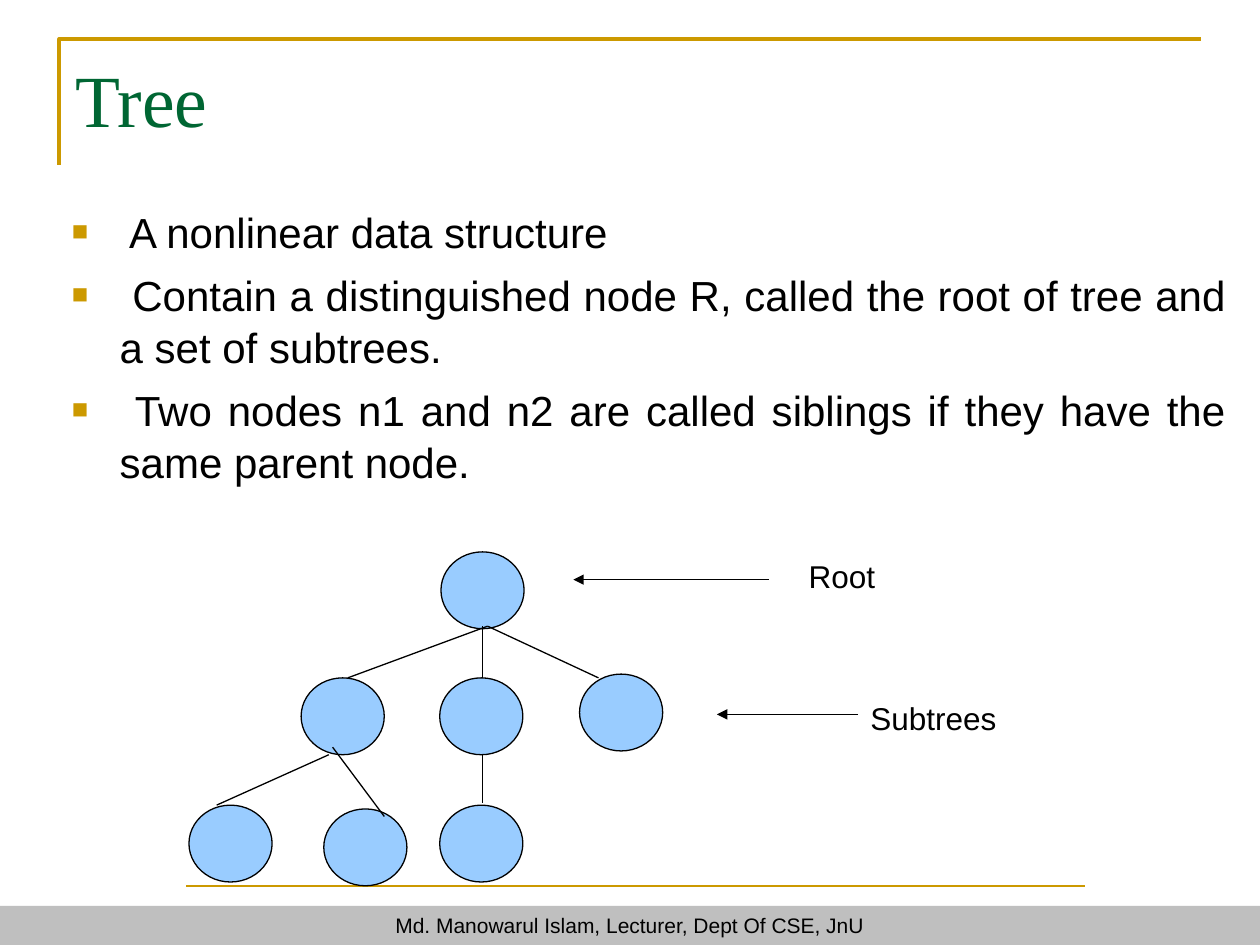
from lxml import etree
from pptx import Presentation
from pptx import util as u
from pptx.dml.color import RGBColor
from pptx.enum import shapes, text
from pptx.oxml.ns import qn

GOLD = RGBColor(0xCC, 0x99, 0x00)
GREEN = RGBColor(0x00, 0x66, 0x33)
GREY = RGBColor(0xBF, 0xBF, 0xBF)
BLUE = RGBColor(0x99, 0xCC, 0xFF)
BLACK = RGBColor(0, 0, 0)

COLUMNS, ROWS = 100, 75
NODE_WIDTH, NODE_HEIGHT = 6.6, 6.1

POINTS = [
    " A nonlinear data structure",
    " Contain a distinguished node R, called the root of tree and a set of subtrees.",
    " Two nodes n1 and n2 are called siblings if they have the same parent node.",
]
# Left and top of each node, level by level
NODES = [
    (35, 43.8),
    (23.9, 53.8), (34.9, 53.8), (46, 53.5),
    (34.9, 63.9), (15, 63.9), (25.7, 64.2),
]
EDGES = [
    ((38.3, 49.7), (38.3, 53.8)),
    ((38.7, 49.7), (27.6, 53.8)),
    ((38.7, 49.7), (47.5, 53.8)),
    ((26.1, 59.9), (17.2, 63.9)),
    ((26.4, 59.3), (30.5, 64.8)),
]
# Label, its left and top, arrow start and end columns, arrow row
CALLOUTS = [
    ("Root", 63.2, 43.9, 61, 45.5, 46),
    ("Subtrees", 68.1, 55.1, 68.1, 56.9, 56.7),
]


class Deck:
    def __init__(self):
        self.prs = Presentation()
        self.prs.slide_width, self.prs.slide_height = u.Inches(10), u.Inches(7.5)
        self.slide = self.prs.slides.add_slide(self.prs.slide_layouts[1])

    def x(self, columns):
        return round(self.prs.slide_width * columns / COLUMNS)

    def y(self, rows):
        return round(self.prs.slide_height * rows / ROWS)

    def box(self, left, top, width, height):
        return self.x(left), self.y(top), self.x(width), self.y(height)

    def style(self, paragraph, size, color=BLACK, name="Arial"):
        font = paragraph.font
        font.size, font.name = u.Pt(size), name
        font.color.rgb = color

    def place(self, holder, place, margin_top):
        holder.left, holder.top, holder.width, holder.height = self.box(*place)
        frame = holder.text_frame
        frame.auto_size = text.MSO_AUTO_SIZE.NONE
        frame.vertical_anchor = text.MSO_ANCHOR.TOP
        frame.margin_top = u.Inches(margin_top)
        return frame

    def title(self, words, place):
        frame = self.place(self.slide.shapes.title, place, 0.13)
        frame.text = words
        heading = frame.paragraphs[0]
        heading.alignment = text.PP_ALIGN.LEFT
        self.style(heading, 42, GREEN, "Times New Roman")

    def bullets(self, points, place):
        frame = self.place(self.slide.placeholders[1], place, 0.08)
        frame.text = "\n".join(points)
        for number, point in enumerate(frame.paragraphs):
            point.alignment = text.PP_ALIGN.JUSTIFY
            point.line_spacing = 1.04
            point.space_before = u.Pt(6 if number else 0)
            self.square_bullet(point)
            self.style(point, 24)

    def square_bullet(self, paragraph):
        props = paragraph._p.get_or_add_pPr()
        indent = u.Inches(0.38)
        props.set("marL", str(indent))
        props.set("indent", str(-indent))
        color = etree.SubElement(props, qn("a:buClr"))
        etree.SubElement(color, qn("a:srgbClr"), val=str(GOLD))
        etree.SubElement(props, qn("a:buSzPct"), val="65000")
        etree.SubElement(props, qn("a:buFont"), typeface="Arial")
        etree.SubElement(props, qn("a:buChar"), char="■")

    def line(self, start, end, color=BLACK, width=0.75, arrow=False):
        connector = self.slide.shapes.add_connector(
            shapes.MSO_CONNECTOR.STRAIGHT,
            self.x(start[0]), self.y(start[1]), self.x(end[0]), self.y(end[1]))
        connector.line.color.rgb = color
        connector.line.width = u.Pt(width)
        if arrow:
            etree.SubElement(connector.line._get_or_add_ln(), qn("a:tailEnd"), type="triangle")
        etree.SubElement(connector._element.spPr, qn("a:effectLst"))

    def corner(self, points, color, width):
        """Draw an open outline through the points."""
        first, *rest = [(self.x(col), self.y(row)) for col, row in points]
        builder = self.slide.shapes.build_freeform(*first)
        builder.add_line_segments(rest, close=False)
        frame = builder.convert_to_shape()
        frame.shadow.inherit = False
        frame.fill.background()
        frame.line.color.rgb = color
        frame.line.width = u.Pt(width)

    def node(self, left, top):
        circle = self.slide.shapes.add_shape(
            shapes.MSO_SHAPE.OVAL, *self.box(left, top, NODE_WIDTH, NODE_HEIGHT))
        circle.shadow.inherit = False
        circle.fill.solid()
        circle.fill.fore_color.rgb = BLUE
        circle.line.color.rgb = BLACK
        circle.line.width = u.Pt(0.75)

    def label(self, words, left, top):
        caption = self.slide.shapes.add_textbox(*self.box(left, top, 15.5, 3.9))
        caption.text_frame.word_wrap = True
        caption.text_frame.text = words
        paragraph = caption.text_frame.paragraphs[0]
        paragraph.line_spacing = 0.98
        self.style(paragraph, 18)

    def footer(self, words, place):
        band = self.slide.shapes.add_shape(shapes.MSO_SHAPE.RECTANGLE, *self.box(*place))
        band.shadow.inherit = False
        band.fill.solid()
        band.fill.fore_color.rgb = GREY
        band.line.fill.background()
        band.text_frame.text = words
        band.text_frame.vertical_anchor = text.MSO_ANCHOR.MIDDLE
        credit = band.text_frame.paragraphs[0]
        credit.alignment = text.PP_ALIGN.CENTER
        self.style(credit, 12)


def main():
    deck = Deck()
    deck.line((14.8, 70.3), (86.1, 70.3), GOLD, 1)
    deck.footer("Md. Manowarul Islam, Lecturer, Dept Of CSE, JnU", (0, 71.9, 100, 3.1))
    deck.corner([(4.7, 13.1), (4.7, 3.1), (95.3, 3.1)], GOLD, 2)
    deck.title("Tree", (5, 3, 90, 12.5))
    deck.bullets(POINTS, (4.7, 15.4, 93.6, 57.9))

    deck.line((38.3, 59.6), (38.3, 63.7))
    for left, top in NODES:
        deck.node(left, top)
    for parent, child in EDGES:
        deck.line(parent, child)
    for words, left, top, start, end, row in CALLOUTS:
        deck.line((start, row), (end, row), arrow=True)
        deck.label(words, left, top)
    deck.prs.save("out.pptx")


if __name__ == "__main__":
    main()
